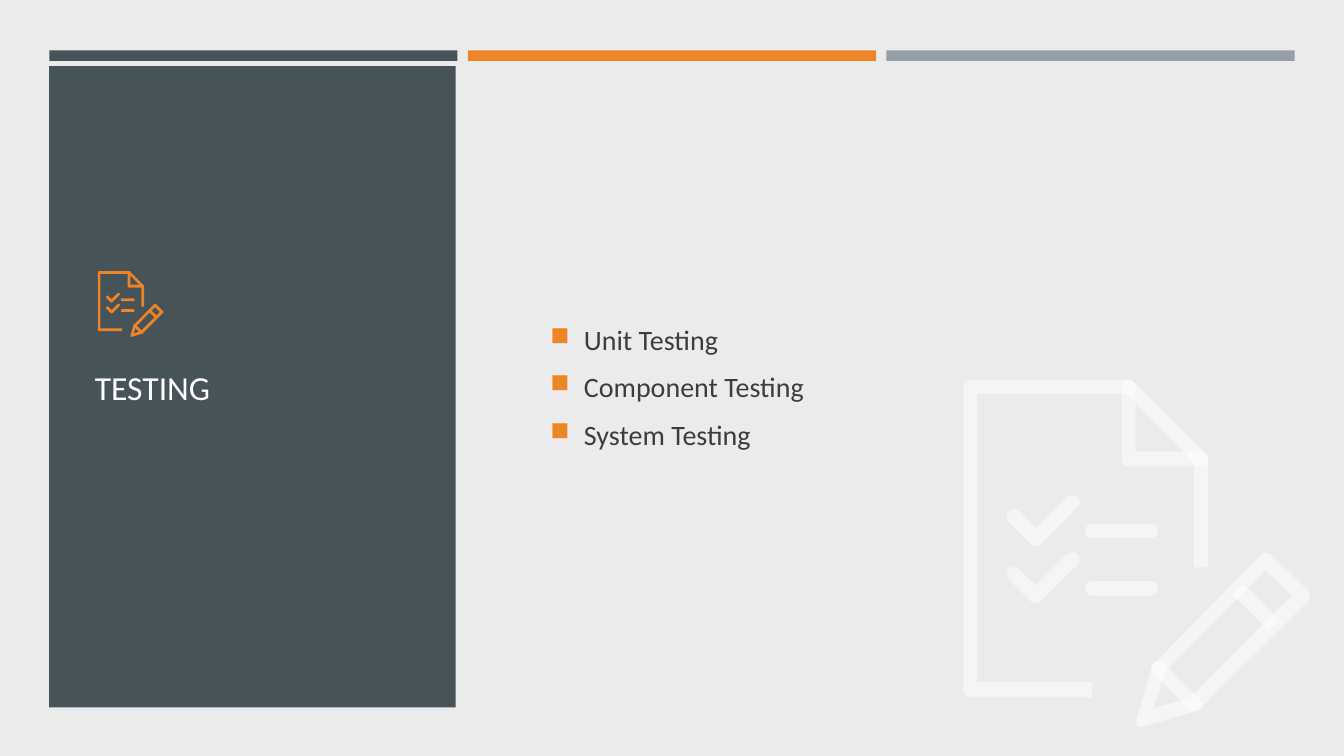
import math

import pptx
import pptx.dml.color
import pptx.enum.shapes
import pptx.enum.text
import pptx.oxml
import pptx.oxml.ns
import pptx.util

Pt = pptx.util.Pt
COLORS = {
    "background": "EBEBEB",
    "slate": "465359",
    "orange": "ED8428",
    "gray": "969FA7",
    "white": "FFFFFF",
    "text": "3D3D3D",
}
STROKE = 7.2


def rgb(name):
    return pptx.dml.color.RGBColor.from_string(COLORS[name])


def paint(shape, color, opacity=100):
    shape.shadow.inherit = False
    shape.fill.solid()
    shape.fill.fore_color.rgb = rgb(color)
    shape.line.fill.background()
    if opacity < 100:
        swatch = shape.fill._xPr.find(".//" + pptx.oxml.ns.qn("a:srgbClr"))
        alpha = swatch.makeelement(pptx.oxml.ns.qn("a:alpha"), {"val": str(opacity * 1000)})
        swatch.append(alpha)


def add_block(slide, left, top, width, height, color):
    block = slide.shapes.add_shape(
        pptx.enum.shapes.MSO_SHAPE.RECTANGLE, Pt(left), Pt(top), Pt(width), Pt(height))
    paint(block, color)


def add_bullet(paragraph, color, indent):
    properties = paragraph._p.get_or_add_pPr()
    properties.set("marL", str(Pt(indent)))
    properties.set("indent", str(-Pt(indent)))
    namespace = pptx.oxml.ns.nsdecls("a")
    for xml in (
        f'<a:buClr {namespace}><a:srgbClr val="{COLORS[color]}"/></a:buClr>',
        f'<a:buSzPct {namespace} val="92000"/>',
        f'<a:buChar {namespace} char="■"/>',
    ):
        properties.append(pptx.oxml.parse_xml(xml))


def write(frame, lines, size, color, bullet=None, indent=24, before=0, after=0):
    frame.word_wrap = True
    frame.auto_size = pptx.enum.text.MSO_AUTO_SIZE.NONE
    frame.vertical_anchor = pptx.enum.text.MSO_ANCHOR.MIDDLE
    for index, line in enumerate(lines):
        paragraph = frame.add_paragraph() if index else frame.paragraphs[0]
        paragraph.text = line
        paragraph.alignment = pptx.enum.text.PP_ALIGN.LEFT
        paragraph.space_before = Pt(before if index else 0)
        paragraph.space_after = Pt(after)
        if bullet:
            add_bullet(paragraph, bullet, indent)
        paragraph.font.name = "Calibri"
        paragraph.font.size = Pt(size)
        paragraph.font.color.rgb = rgb(color)


def toward(start, end, distance):
    share = distance / math.dist(start, end)
    return tuple(a + (b - a) * share for a, b in zip(start, end))


def rounded(corners, steps=6):
    outline = []
    for index, (x, y, radius) in enumerate(corners):
        corner = (x, y)
        if not radius:
            outline.append(corner)
            continue
        before = corners[index - 1][:2]
        after = corners[(index + 1) % len(corners)][:2]
        curve = [toward(corner, neighbor, radius * share)
                 for neighbor, share in ((before, 1), (before, 0.45), (after, 0.45), (after, 1))]
        for step in range(steps + 1):
            t = step / steps
            weights = [math.comb(3, k) * t ** k * (1 - t) ** (3 - k) for k in range(4)]
            outline.append(tuple(
                sum(w * point[axis] for w, point in zip(weights, curve)) for axis in (0, 1)))
    return outline


def capsule(x1, y1, x2, y2):
    length = math.dist((x1, y1), (x2, y2))
    dx, dy = (x2 - x1) / length * STROKE, (y2 - y1) / length * STROKE
    return [
        (x1 - dx - dy, y1 - dy + dx, STROKE),
        (x1 - dx + dy, y1 - dy - dx, STROKE),
        (x2 + dx + dy, y2 + dy - dx, STROKE),
        (x2 + dx - dy, y2 + dy + dx, STROKE),
    ]


def check_mark(drop):
    corners = [(40, 136, 7.5), (72, 168, 7.5), (118.5, 121.5, 7.5),
               (108, 111, 7.5), (72, 147, 0), (50.5, 125.5, 7.5)]
    return [(x, y + drop, radius) for x, y, radius in corners]


def checklist_parts():
    pencil = [(169, 347, 10), (187, 284, 3), (300.5, 168.5, 8), (347.5, 214.5, 8), (233, 328, 3)]
    pencil_inside = [(200, 290, 0), (189, 326, 0), (225, 315, 0), (326, 214, 0), (300, 189, 0)]
    eraser_band = [(302, 248, 0), (267, 213, 0), (278, 203, 0), (313, 238, 0)]
    page = [(0, 0, 7), (167, 0, 4), (243, 76, 4), (243, 186, 0), (229, 186, 0), (229, 82, 0),
            (162, 14, 0), (14, 14, 0), (14, 300, 0), (128, 300, 0), (128, 315, 0), (0, 315, 7)]
    fold = [(157, 86, 7), (157, 0, 7), (171, 0, 7), (171, 71, 0), (243, 71, 7), (243, 86, 7)]
    parts = [[pencil, pencil_inside], [eraser_band], [capsule(193.5, 286, 229.5, 321.5)]]
    for drop in (0, 57):
        parts.append([capsule(128, 150 + drop, 186, 150 + drop)])
        parts.append([check_mark(drop)])
    return parts + [[page], [fold]]


def add_checklist_icon(slide, left, top, unit, color, opacity=100):
    icon = slide.shapes.add_group_shape()
    for contours in checklist_parts():
        outlines = [
            [(Pt(left + x * unit), Pt(top + y * unit)) for x, y in rounded(corners)]
            for corners in contours
        ]
        builder = icon.shapes.build_freeform(*outlines[0][0])
        builder.add_line_segments(outlines[0][1:], close=True)
        for outline in outlines[1:]:
            builder.move_to(*outline[0])
            builder.add_line_segments(outline[1:], close=True)
        paint(builder.convert_to_shape(), color, opacity)


def place_title(slide, text):
    title = slide.shapes.title
    title.left, title.top, title.width, title.height = Pt(60.5), Pt(209), Pt(239), Pt(135.4)
    write(title.text_frame, [text], size=24, color="white")
    slide.shapes._spTree.append(title._element)


def add_topics(slide, topics):
    box = slide.shapes.add_textbox(Pt(386), Pt(93), Pt(523.4), Pt(366.5))
    write(box.text_frame, topics, size=20, color="text", bullet="orange", before=4, after=6)


def main():
    deck = pptx.Presentation()
    deck.slide_width, deck.slide_height = Pt(960), Pt(540)
    slide = deck.slides.add_slide(deck.slide_layouts[5])
    slide.background.fill.solid()
    slide.background.fill.fore_color.rgb = rgb("background")

    for column, color in enumerate(("slate", "orange", "gray")):
        add_block(slide, 35.2 + column * 299, 36, 291.6, 7.5, color)
    add_block(slide, 35.2, 47.3, 290.2, 458, "slate")
    add_topics(slide, ["Unit Testing", "Component Testing", "System Testing"])
    place_title(slide, "TESTING")
    add_checklist_icon(slide, 69.9, 193.7, 0.136, "orange")
    add_checklist_icon(slide, 688.1, 271.3, 0.72, "white", opacity=50)
    deck.save("out.pptx")


if __name__ == "__main__":
    main()
